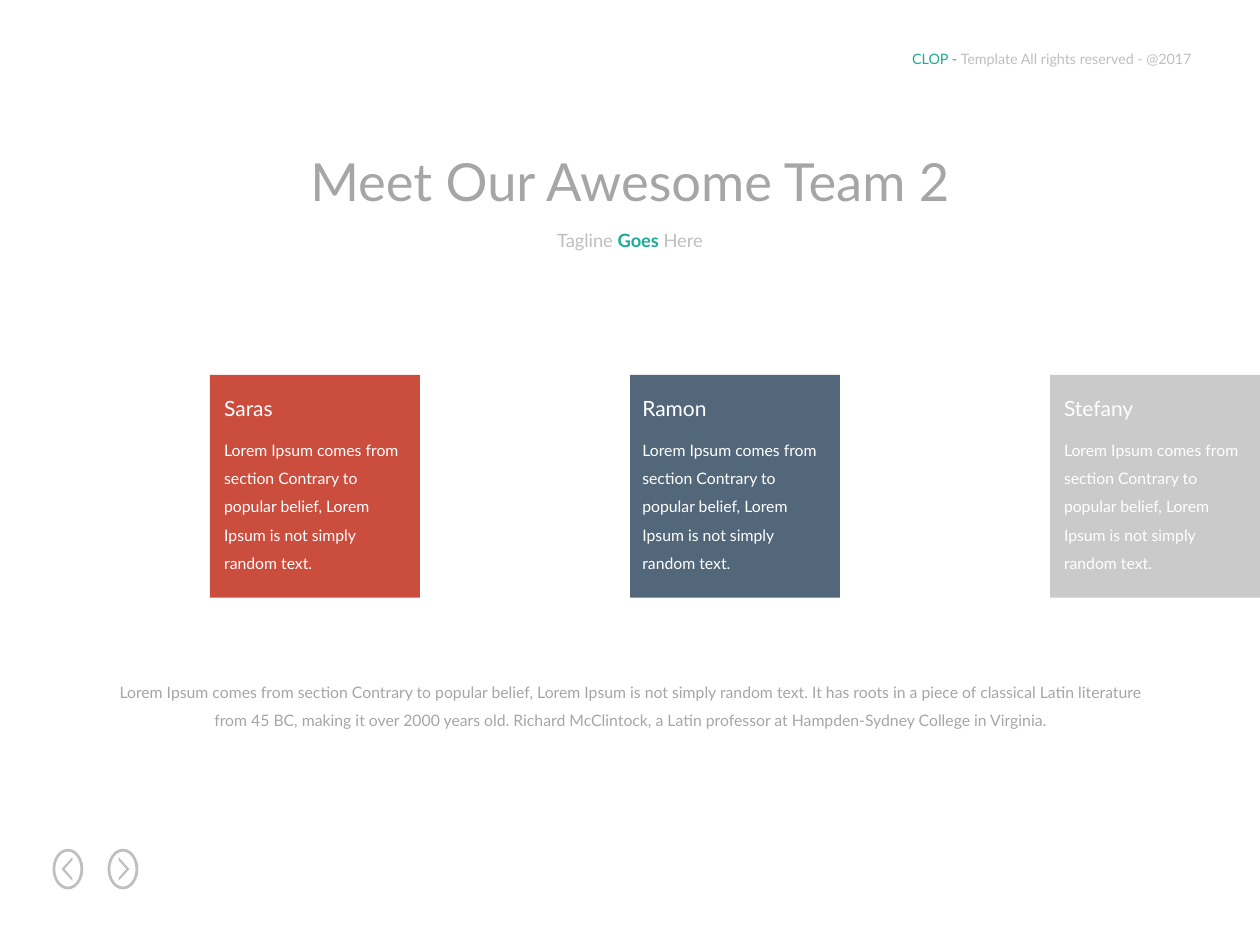
"""Build a team slide with three member cards and previous/next buttons."""
import dataclasses

import pptx
import pptx.dml.color
import pptx.enum.shapes
import pptx.enum.text
import pptx.util

Cm = pptx.util.Cm
Pt = pptx.util.Pt
RGB = pptx.dml.color.RGBColor.from_string
SHAPE = pptx.enum.shapes.MSO_SHAPE
ALIGN = pptx.enum.text.PP_ALIGN


@dataclasses.dataclass(frozen=True)
class Theme:
    font: str = "Lato"
    accent: str = "1CAD97"
    dark: str = "A6A6A6"
    light: str = "BFBFBF"
    white: str = "FFFFFF"
    red: str = "CA4D3D"
    blue: str = "53677A"
    silver: str = "CACACA"
    title: float = 30
    name: float = 12
    tagline: float = 10.5
    body: float = 9
    header: float = 8.2


theme = Theme()


def write(sp, box, runs, size, align=ALIGN.LEFT, wrap=False, spacing=None):
    sp.left, sp.top, sp.width, sp.height = [Cm(v) for v in box]
    tf = sp.text_frame
    tf.word_wrap = wrap
    tf.auto_size = pptx.enum.text.MSO_AUTO_SIZE.SHAPE_TO_FIT_TEXT
    tf.vertical_anchor = pptx.enum.text.MSO_ANCHOR.TOP
    p = tf.paragraphs[0]
    p.alignment = align
    p.line_spacing = spacing
    p.font.name = theme.font
    p.font.size = Pt(size)
    for text, color, bold in runs:
        r = p.add_run()
        r.text = text
        r.font.color.rgb = RGB(color)
        if bold:
            r.font.bold = True


def paint(sp, color):
    sp.shadow.inherit = False
    sp.fill.solid()
    sp.fill.fore_color.rgb = RGB(color)
    sp.line.fill.background()


prs = pptx.Presentation()
prs.slide_width, prs.slide_height = Cm(25.4), Cm(19.05)
s = prs.slides.add_slide(prs.slide_layouts[5])

write(s.shapes.add_textbox(0, 0, 0, 0), (18.14, 0.89, 6.35, 0.61),
      [("CLOP - ", theme.accent, False),
       ("Template All rights reserved - @2017", theme.light, False)], theme.header)

for x, way in ((1.37, -1), (2.48, 1)):
    y = 17.52
    sp = s.shapes.add_shape(SHAPE.DONUT, Cm(x - 0.31), Cm(y - 0.41), Cm(0.62), Cm(0.82))
    sp.adjustments[0] = 0.09
    paint(sp, theme.light)
    outline = [(-0.09, -0.18), (0.07, 0), (-0.09, 0.18),
               (-0.09, 0.24), (0.13, 0), (-0.09, -0.24)]
    points = [(Cm(x + way * dx), Cm(y + dy)) for dx, dy in outline]
    fb = s.shapes.build_freeform(*points[0])
    fb.add_line_segments(points[1:])
    paint(fb.convert_to_shape(), theme.light)

write(s.shapes.title, (5.77, 2.87, 13.86, 1.55),
      [("Meet Our Awesome Team 2", theme.dark, False)], theme.title, ALIGN.CENTER)
write(s.shapes.add_textbox(0, 0, 0, 0), (10.92, 4.5, 3.56, 0.71),
      [("Tagline ", theme.light, False), ("Goes ", theme.accent, True),
       ("Here", theme.light, False)], theme.tagline, ALIGN.CENTER)

bio = ("Lorem Ipsum comes from section Contrary to popular belief, "
       "Lorem Ipsum is not simply random text.")
members = [("Saras", theme.red, 4.27, 1.52),
           ("Ramon", theme.blue, 12.7, 1.83),
           ("Stefany", theme.silver, 21.2, 1.96)]
card = 25.4 / 6
for i, (name, color, left, width) in enumerate(members):
    sp = s.shapes.add_shape(SHAPE.RECTANGLE, Cm(card * (2 * i + 1)), Cm(7.56),
                            Cm(card), Cm(4.49))
    paint(sp, color)
    write(s.shapes.add_textbox(0, 0, 0, 0), (left, 8.56, 4.19, 3.15),
          [(bio, theme.white, False)], theme.body, wrap=True, spacing=1.5)
    write(s.shapes.add_textbox(0, 0, 0, 0), (left, 7.85, width, 0.76),
          [(name, theme.white, False)], theme.name)

summary = (bio + " It has roots in a piece of classical Latin literature from 45 BC, "
           "making it over 2000 years old. Richard McClintock, a Latin professor at "
           "Hampden-Sydney College in Virginia.")
write(s.shapes.add_textbox(0, 0, 0, 0), (1.9, 13.44, 21.6, 1.42),
      [(summary, theme.dark, False)], theme.body, ALIGN.CENTER, True, 1.5)

prs.save("out.pptx")
